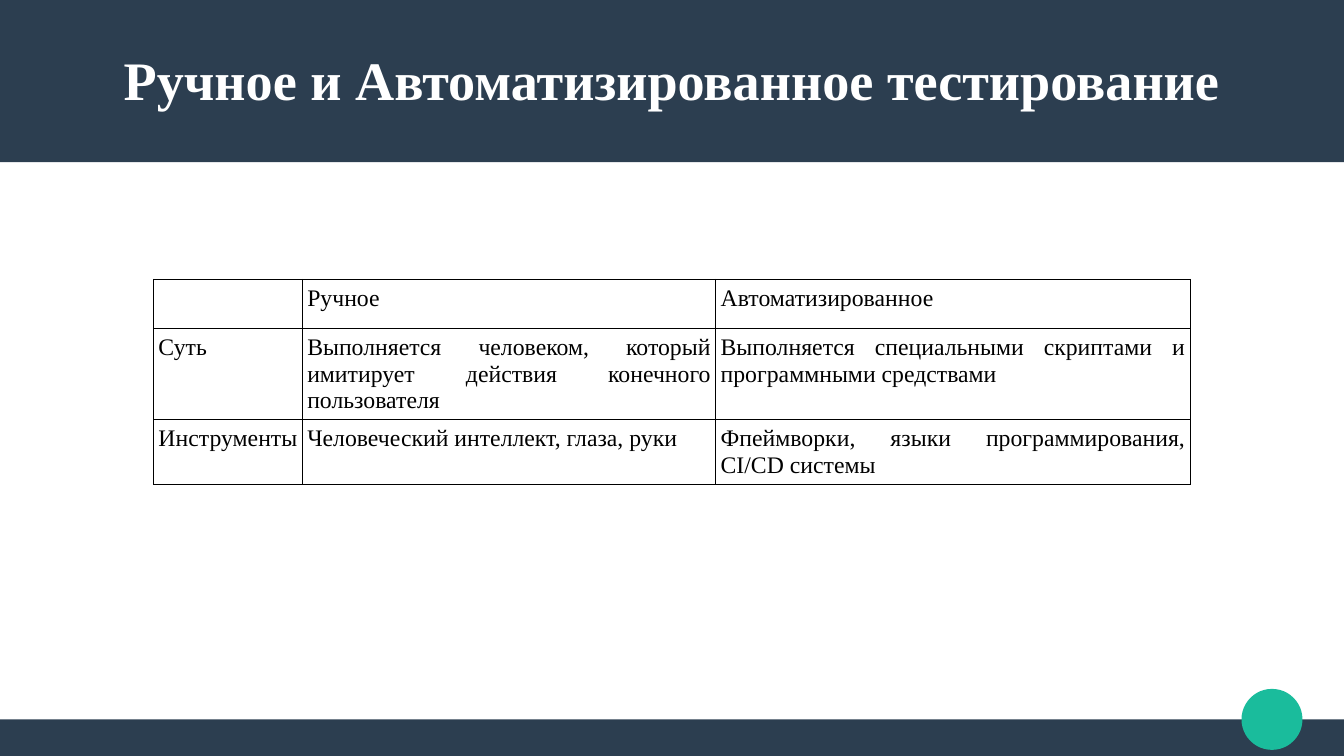
from dataclasses import dataclass

from lxml.etree import SubElement
from pptx import Presentation
from pptx.dml.color import RGBColor
from pptx.enum.shapes import MSO_SHAPE
from pptx.enum.text import MSO_ANCHOR, PP_ALIGN
from pptx.oxml.ns import qn
from pptx.slide import Slide
from pptx.table import _Cell as Cell
from pptx.text.text import TextFrame
from pptx.util import Inches, Pt


@dataclass(frozen=True)
class Theme:
    navy: str = "2C3E50"
    teal: str = "1ABC9C"
    white: str = "FFFFFF"
    black: str = "000000"
    face: str = "Times New Roman"
    head: int = 32
    body: int = 14
    rule: float = 0.57


@dataclass(frozen=True)
class Block:
    kind: MSO_SHAPE
    left: float
    top: float
    width: float
    height: float
    color: str


THEME = Theme()
WIDTH, HEIGHT = 11.02, 6.2

BLOCKS = [
    Block(MSO_SHAPE.RECTANGLE, 0, 5.9, WIDTH, 0.3, THEME.navy),
    Block(MSO_SHAPE.RECTANGLE, 0, 0, WIDTH, 1.33, THEME.navy),
    Block(MSO_SHAPE.OVAL, 10.18, 5.65, 0.5, 0.5, THEME.teal),
]

COLS = [1.22, 3.39, 3.89]
ROWS = [0.38, 0.74, 0.53]
CELLS = [
    ["", "Ручное", "Автоматизированное"],
    [
        "Суть",
        "Выполняется человеком, который имитирует действия конечного пользователя",
        "Выполняется специальными скриптами и программными средствами",
    ],
    [
        "Инструменты",
        "Человеческий интеллект, глаза, руки",
        "Фпеймворки, языки программирования, CI/CD системы",
    ],
]


def apply(target: object, values: dict) -> None:
    for name, value in values.items():
        setattr(target, name, value)


def write(frame: TextFrame, text: str, align: PP_ALIGN, size: int, color: str, bold: bool) -> None:
    line = frame.paragraphs[0]
    line.alignment = align
    if text:
        run = line.add_run()
        run.text = text
        apply(run.font, {"name": THEME.face, "size": Pt(size), "bold": bold})
        run.font.color.rgb = RGBColor.from_string(color)


def draw_block(slide: Slide, block: Block) -> None:
    place = map(Inches, (block.left, block.top, block.width, block.height))
    shape = slide.shapes.add_shape(block.kind, *place)
    shape.shadow.inherit = False
    shape.fill.solid()
    shape.fill.fore_color.rgb = RGBColor.from_string(block.color)
    shape.line.fill.background()


def draw_title(slide: Slide, text: str) -> None:
    title = slide.shapes.title
    slide.shapes.element.append(title.element)
    apply(title, {"left": Inches(0.39), "top": Inches(0.25),
                  "width": Inches(10.24), "height": Inches(0.79)})
    sides = ("margin_left", "margin_top", "margin_right", "margin_bottom")
    apply(title.text_frame, dict.fromkeys(sides, 0))
    apply(title.text_frame, {"vertical_anchor": MSO_ANCHOR.MIDDLE, "word_wrap": True})
    write(title.text_frame, text, PP_ALIGN.CENTER, THEME.head, THEME.white, True)


def frame_cell(cell: Cell) -> None:
    props = cell._tc.get_or_add_tcPr()
    for side in ("lnL", "lnR", "lnT", "lnB"):
        edge = SubElement(props, qn(f"a:{side}"), w=str(Pt(THEME.rule)))
        fill = SubElement(edge, qn("a:solidFill"))
        SubElement(fill, qn("a:srgbClr"), val=THEME.black)


def draw_table(slide: Slide) -> None:
    place = map(Inches, (1.26, 2.29, sum(COLS), sum(ROWS)))
    table = slide.shapes.add_table(len(ROWS), len(COLS), *place).table
    apply(table, {"first_row": False, "horz_banding": False})
    for col, width in zip(table.columns, COLS):
        col.width = Inches(width)
    for row, height, texts in zip(table.rows, ROWS, CELLS):
        row.height = Inches(height)
        for cell, text in zip(row.cells, texts):
            frame_cell(cell)
            cell.fill.background()
            apply(cell, {"margin_left": Inches(0.04), "margin_right": Inches(0.04),
                         "margin_top": Inches(0.05), "margin_bottom": Inches(0.05)})
            write(cell.text_frame, text, PP_ALIGN.JUSTIFY, THEME.body, THEME.black, False)


def main() -> None:
    deck = Presentation()
    apply(deck, {"slide_width": Inches(WIDTH), "slide_height": Inches(HEIGHT)})
    slide = deck.slides.add_slide(deck.slide_layouts.get_by_name("Title Only"))
    for block in BLOCKS:
        draw_block(slide, block)
    draw_title(slide, "Ручное и Автоматизированное тестирование")
    draw_table(slide)
    deck.save("out.pptx")


if __name__ == "__main__":
    main()
